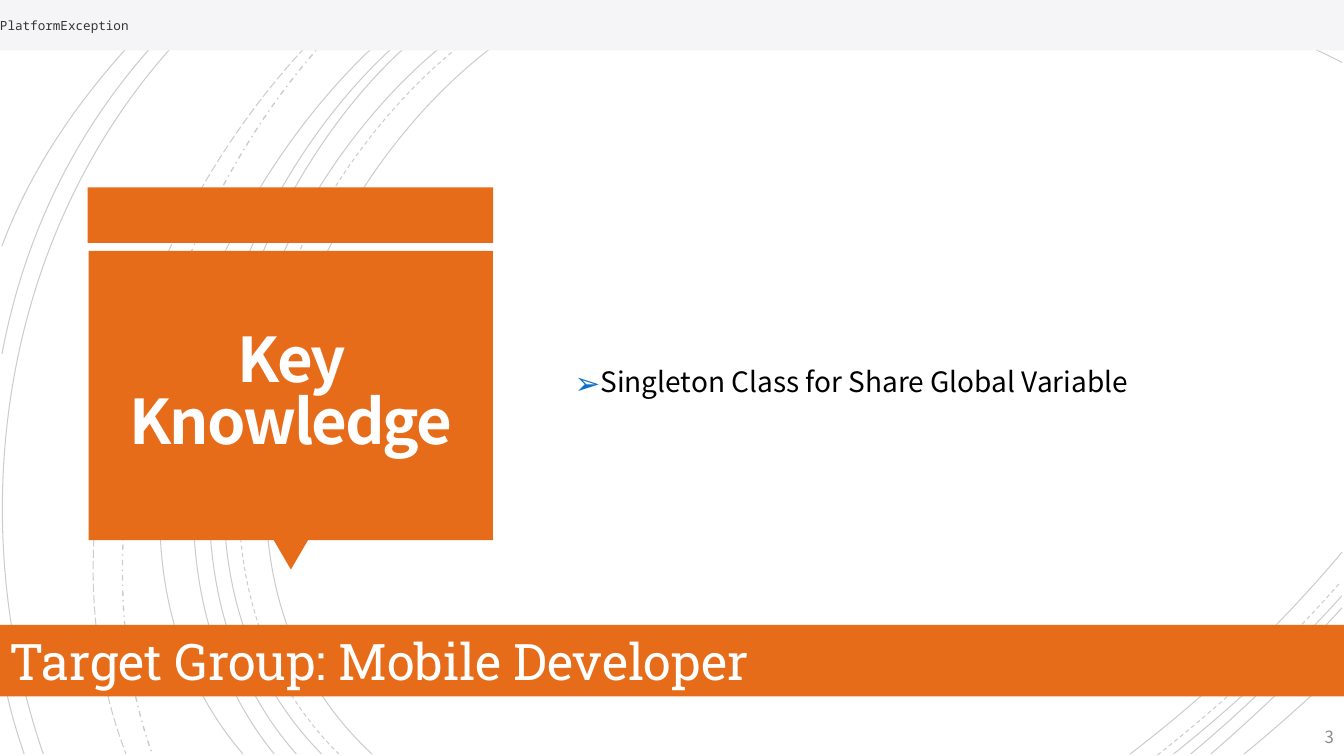
import lxml.etree
import pptx
import pptx.dml.color
import pptx.enum.dml
import pptx.enum.shapes
import pptx.enum.text
import pptx.oxml.ns
import pptx.util

Inches = pptx.util.Inches
RGBColor = pptx.dml.color.RGBColor
Dash = pptx.enum.dml.MSO_LINE
Preset = pptx.enum.shapes.MSO_SHAPE
Anchor = pptx.enum.text.MSO_ANCHOR
Align = pptx.enum.text.PP_ALIGN
qn = pptx.oxml.ns.qn

BLACK = RGBColor(0x00, 0x00, 0x00)
WHITE = RGBColor(0xFF, 0xFF, 0xFF)
TITLE_WHITE = RGBColor(0xFF, 0xFE, 0xFF)
ORANGE = RGBColor(0xE7, 0x6C, 0x19)
PALE_GRAY = RGBColor(0xF5, 0xF5, 0xF7)
CODE_GRAY = RGBColor(0x33, 0x33, 0x33)
NUMBER_GRAY = RGBColor(0x8C, 0x8C, 0x8C)
BULLET_BLUE = RGBColor(0x0F, 0x6F, 0xC6)
SANS = "Noto Sans CJK JP"

presentation = pptx.Presentation()
presentation.slide_width = Inches(13.33)
presentation.slide_height = Inches(7.5)
slide = presentation.slides.add_slide(presentation.slide_layouts[6])


def add_block(preset, box, color):
    shape = slide.shapes.add_shape(preset, *[Inches(length) for length in box])
    shape.shadow.inherit = False
    shape.fill.solid()
    shape.fill.fore_color.rgb = color
    shape.line.fill.background()
    return shape


def write_text(shape, text, anchor, margins, paragraph_format, font_format):
    frame = shape.text_frame
    frame.word_wrap = True
    frame.vertical_anchor = anchor
    for side, margin in zip(("left", "top", "right", "bottom"), margins):
        setattr(frame, f"margin_{side}", Inches(margin))
    paragraph = frame.paragraphs[0]
    for name, value in paragraph_format.items():
        setattr(paragraph, name, value)
    run = paragraph.add_run()
    run.text = text
    values = dict(font_format)
    run.font.color.rgb = values.pop("color")
    for name, value in values.items():
        setattr(run.font, name, value)
    return paragraph


solid_curves = [
    (5.65, 0, 3.15, 1.15, 1.43, 5.4, 3.69, 7.48),
    (13.31, 0.62, 12.78, 0.34, 12.18, 0.16, 11.62, 0.01),
    (11.21, 7.48, 11.97, 6.9, 12.69, 6.22, 13.31, 5.48),
    (5.06, 0, 2.7, 1.27, 1.1, 5.37, 3.19, 7.48),
    (13.31, 0.29, 13.07, 0.19, 12.83, 0.09, 12.58, 0.01),
    (11.64, 7.48, 12.23, 7.01, 12.8, 6.48, 13.31, 5.91),
    (4.64, 0, 2.44, 1.33, 1.1, 5.41, 2.94, 7.48),
    (11.81, 7.48, 12.34, 7.04, 12.84, 6.55, 13.31, 6.03),
    (4.51, 0, 2.31, 1.38, 0.97, 5.33, 2.72, 7.48),
    (12.01, 7.48, 12.46, 7.09, 12.9, 6.67, 13.31, 6.23),
    (4.27, 0, 2.17, 1.47, 0.53, 5.29, 2.41, 7.48),
    (12.34, 7.48, 12.67, 7.21, 12.99, 6.92, 13.31, 6.62),
    (2.17, 0, 0.11, 1.85, -0.46, 4.9, 0.43, 7.48),
    (1.95, 0.01, 0.92, 0.96, 0.28, 2.14, 0.02, 3.51),
    (0.01, 6.58, 0.06, 6.89, 0.14, 7.19, 0.24, 7.48),
    (1.72, 0, 1, 0.69, 0.37, 1.5, 0.02, 2.44),
]
dashed_curves = [
    (5.25, 0, 2.85, 1.25, 1.23, 5.37, 3.36, 7.48),
    (13.31, 0.41, 12.97, 0.25, 12.6, 0.12, 12.25, 0.01),
    (11.48, 7.49, 12.13, 6.98, 12.75, 6.4, 13.3, 5.77),
]
dash_dot_curves = [(3.63, 0, 1.76, 1.66, 0.65, 5.09, 1.51, 7.48)]
long_dash_curves = [(3.51, 0, 1.57, 1.69, 0.29, 4.99, 1.25, 7.48)]

for curves, dash, width in [
    (solid_curves, Dash.SOLID, 0.75),
    (dashed_curves, Dash.DASH, 0.75),
    (dash_dot_curves, Dash.DASH_DOT, 1),
    (long_dash_curves, Dash.LONG_DASH, 0.75),
]:
    for curve in curves:
        lengths = [Inches(length) for length in curve]
        points = list(zip(lengths[::2], lengths[1::2]))
        builder = slide.shapes.build_freeform(*points[0])
        builder.add_line_segments(points[1:], close=False)
        arc = builder.convert_to_shape()
        segments = list(arc._element.iter(qn("a:lnTo")))
        bezier = lxml.etree.SubElement(segments[0].getparent(), qn("a:cubicBezTo"))
        for segment in segments:
            bezier.append(segment[0])
            segment.getparent().remove(segment)
        arc.shadow.inherit = False
        arc.fill.background()
        arc.line.color.rgb = BLACK
        arc.line.width = pptx.util.Pt(width)
        arc.line.dash_style = dash
        line_color = arc.line._ln.find(".//" + qn("a:srgbClr"))
        lxml.etree.SubElement(line_color, qn("a:alpha"), val="20000")

add_block(Preset.RECTANGLE, (0.87, 1.86, 4.02, 0.55), ORANGE)
pointer = add_block(Preset.ISOSCELES_TRIANGLE, (2.71, 5.35, 0.35, 0.3), ORANGE)
pointer.rotation = 180
add_block(Preset.RECTANGLE, (0.88, 2.49, 4.01, 2.87), ORANGE)

title, body, number = [
    slide.shapes.add_textbox(*[Inches(length) for length in box])
    for box in [(0.97, 2.57, 3.83, 2.69), (5.6, 0.88, 7.74, 5.74), (12.33, 7.13, 1, 0.35)]
]
footer = add_block(Preset.RECTANGLE, (0, 6.2, 13.33, 0.71), ORANGE)
header = add_block(Preset.RECTANGLE, (0, 0, 13.33, 0.5), PALE_GRAY)

default_margins = (0.1, 0.05, 0.1, 0.05)
title_paragraph = write_text(
    title, "Key Knowledge", Anchor.MIDDLE, (0.25,) * 4,
    {"alignment": Align.CENTER, "line_spacing": 0.85},
    {"name": SANS, "size": pptx.util.Pt(44), "bold": True, "color": TITLE_WHITE},
)
title_paragraph.runs[0]._r.get_or_add_rPr().set("spc", "-150")

body_paragraph = write_text(
    body, "Singleton Class for Share Global Variable", Anchor.MIDDLE, default_margins,
    {"alignment": Align.LEFT, "line_spacing": 1.2},
    {"name": SANS, "size": pptx.util.Pt(20), "color": BLACK},
)
properties = body_paragraph._p.get_or_add_pPr()
properties.set("marL", str(Inches(0.25)))
properties.set("indent", str(Inches(-0.25)))
bullet_color = lxml.etree.SubElement(properties, qn("a:buClr"))
lxml.etree.SubElement(bullet_color, qn("a:srgbClr"), val=str(BULLET_BLUE))
lxml.etree.SubElement(properties, qn("a:buSzPct"), val="110000")
lxml.etree.SubElement(properties, qn("a:buFont"), typeface=SANS)
lxml.etree.SubElement(properties, qn("a:buChar"), char="➢")

write_text(
    number, "3", Anchor.MIDDLE, default_margins, {"alignment": Align.RIGHT},
    {"name": SANS, "size": pptx.util.Pt(12), "color": NUMBER_GRAY},
)
write_text(
    footer, "Target Group: Mobile Developer", Anchor.TOP, default_margins,
    {"alignment": Align.LEFT},
    {"name": "Roboto Slab", "size": pptx.util.Pt(36), "color": WHITE},
)
write_text(
    header, "PlatformException", Anchor.MIDDLE, (0,) * 4, {"alignment": Align.LEFT},
    {"name": "Noto Sans Mono", "size": pptx.util.Pt(9), "color": CODE_GRAY},
)

presentation.save("out.pptx")
